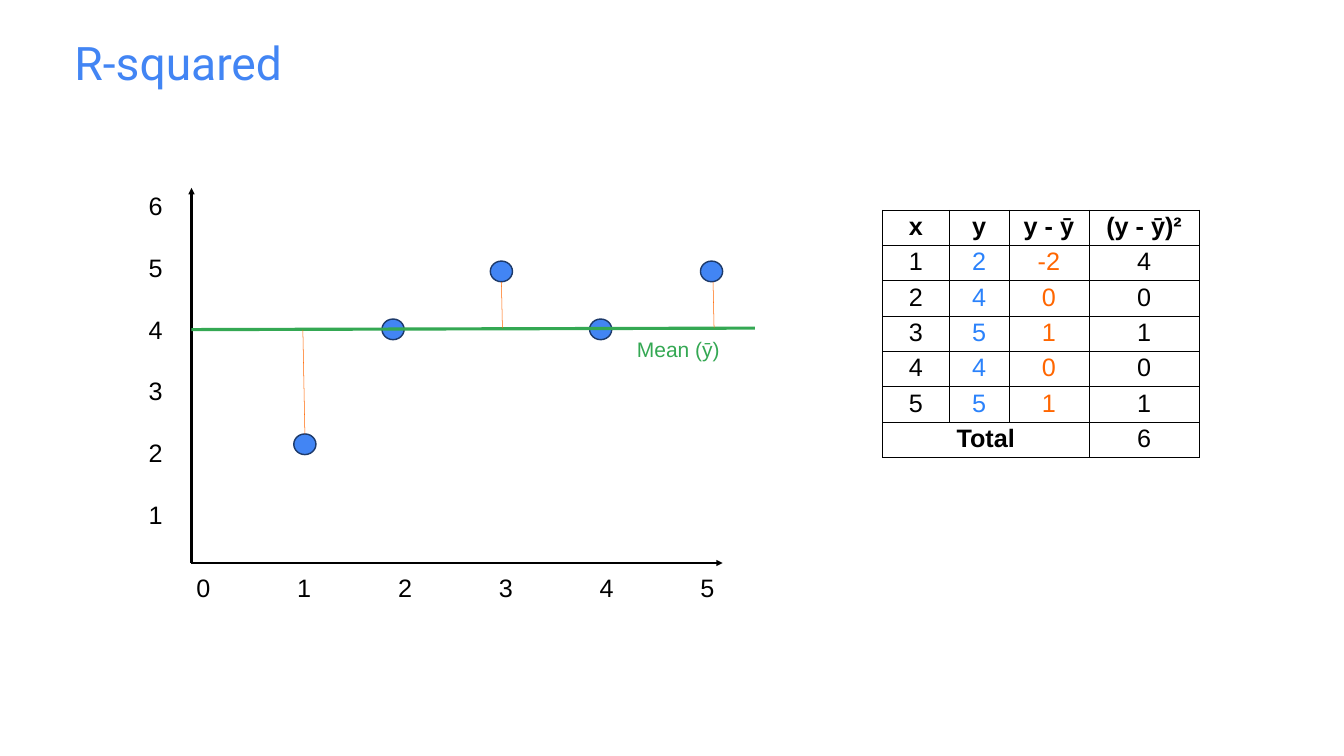
from lxml.etree import SubElement
from pptx import Presentation
from pptx.dml.color import RGBColor
from pptx.enum.shapes import MSO_CONNECTOR as Link, MSO_SHAPE as Shape
from pptx.enum.text import PP_ALIGN as Align
from pptx.oxml.ns import qn
from pptx.util import Inches, Pt

COLORS = {
    "black": "000000",
    "blue": "4285F4",
    "navy": "1D3A6B",
    "green": "34A853",
    "azure": "2B82FB",
    "orange": "FF6600",
}
DOTS = [(5.83, 8.61), (7.58, 6.33), (9.73, 5.18), (13.9, 5.18), (11.7, 6.33)]
GAPS = [(6.05, 8.61, 6.01, 6.54), (9.97, 6.51, 9.95, 5.6), (14.17, 6.51, 14.15, 5.6)]
HEADS = ["x", "y", "y - ȳ", "(y - ȳ)²"]
ROWS = [(1, 2, -2, 4), (2, 4, 0, 0), (3, 5, 1, 1), (4, 4, 0, 0), (5, 5, 1, 1)]
TINTS = ["black", "azure", "orange", "black"]


def rgb(name):
    """Return the named colour."""
    return RGBColor.from_string(COLORS[name])


def write(frame, text, size=36, font="Arial", color="black", bold=False,
          align=Align.LEFT, gap=0, tabs=()):
    """Fill a text frame with one paragraph per line of text."""
    for i, line in enumerate(text.split("\n")):
        para = frame.add_paragraph() if i else frame.paragraphs[0]
        para.alignment = align
        if i:
            para.space_before = Pt(gap)
        if tabs:
            stops = SubElement(para._p.get_or_add_pPr(), qn("a:tabLst"))
            for pos in tabs:
                SubElement(stops, qn("a:tab"), pos=str(Inches(pos)), algn="l")
        run = para.add_run()
        run.text = line
        run.font.size = Pt(size)
        run.font.name = font
        run.font.bold = bold
        run.font.color.rgb = rgb(color)


def add_text(slide, box, text, inset=None, **style):
    """Add a wrapping text box."""
    frame = slide.shapes.add_textbox(*map(Inches, box)).text_frame
    frame.word_wrap = True
    if inset is not None:
        frame.margin_top = frame.margin_bottom = Inches(inset)
    write(frame, text, **style)


def add_line(slide, ends, color, width, arrow=False):
    """Add a straight line, with an arrowhead at its end if asked."""
    link = slide.shapes.add_connector(Link.STRAIGHT, *map(Inches, ends))
    link.line.color.rgb = rgb(color)
    link.line.width = Pt(width)
    if arrow:
        SubElement(link.line._get_or_add_ln(), qn("a:tailEnd"), type="triangle")
    SubElement(link._element.spPr, qn("a:effectLst"))


def add_dot(slide, left, top):
    """Add one data point."""
    dot = slide.shapes.add_shape(
        Shape.OVAL, Inches(left), Inches(top), Inches(0.44), Inches(0.41))
    dot.shadow.inherit = False
    dot.fill.solid()
    dot.fill.fore_color.rgb = rgb("blue")
    dot.line.color.rgb = rgb("navy")
    dot.line.width = Pt(2)


def frame_cell(cell):
    """Give a cell thin black borders and no fill."""
    props = cell._tc.get_or_add_tcPr()
    for side in ("lnL", "lnR", "lnT", "lnB"):
        edge = SubElement(props, qn(f"a:{side}"), w=str(Pt(1)))
        fill = SubElement(edge, qn("a:solidFill"))
        SubElement(fill, qn("a:srgbClr"), val=COLORS["black"])
    cell.fill.background()


def add_grid(slide):
    """Add the table of squared deviations with its total."""
    count = len(ROWS) + 2
    box = map(Inches, (17.51, 4.17, 6.29, 4.91))
    grid = slide.shapes.add_table(count, len(HEADS), *box).table
    grid.first_row = grid.horz_banding = False
    for col, width in zip(grid.columns, (1.33, 1.18, 1.59, 2.19)):
        col.width = Inches(width)
    for row in grid.rows:
        row.height = Inches(0.7)
    for cell in grid.iter_cells():
        frame_cell(cell)
    for c, head in enumerate(HEADS):
        write(grid.cell(0, c).text_frame, head, bold=True, align=Align.CENTER)
    for r, row in enumerate(ROWS, 1):
        for c, (value, tint) in enumerate(zip(row, TINTS)):
            write(grid.cell(r, c).text_frame, str(value), color=tint,
                  align=Align.CENTER)
    last = count - 1
    grid.cell(last, 0).merge(grid.cell(last, 2))
    write(grid.cell(last, 0).text_frame, "Total", bold=True, align=Align.CENTER)
    total = sum(row[-1] for row in ROWS)
    write(grid.cell(last, 3).text_frame, str(total), align=Align.CENTER)


def add_plot(slide):
    """Add the axes, points, mean line and residuals."""
    add_line(slide, (3.8, 11.17, 3.8, 3.73), "black", 3, arrow=True)
    add_line(slide, (3.8, 11.17, 14.34, 11.17), "black", 3, arrow=True)
    add_text(slide, (3.8, 11.31, 11.71, 0.71), "\t".join("012345"),
             tabs=range(2, 11, 2))
    add_text(slide, (2.85, 3.73, 0.61, 6.77), "\n".join("654321"), gap=45)
    for spot in DOTS:
        add_dot(slide, *spot)
    add_line(slide, (3.8, 6.54, 14.98, 6.51), "green", 4.5)
    add_text(slide, (12.54, 6.62, 1.99, 0.61), "Mean (ȳ)", size=30, color="green")
    for ends in GAPS:
        add_line(slide, ends, "orange", 0.75)


def main():
    """Build and save the slide."""
    deck = Presentation()
    deck.slide_width, deck.slide_height = Inches(26.67), Inches(15)
    slide = deck.slides.add_slide(deck.slide_layouts[6])
    add_text(slide, (1.38, 0.58, 23.91, 1.99), "R-squared", inset=0.1,
             size=66, font="Roboto", color="blue")
    add_plot(slide)
    add_grid(slide)
    deck.save("out.pptx")


if __name__ == "__main__":
    main()
